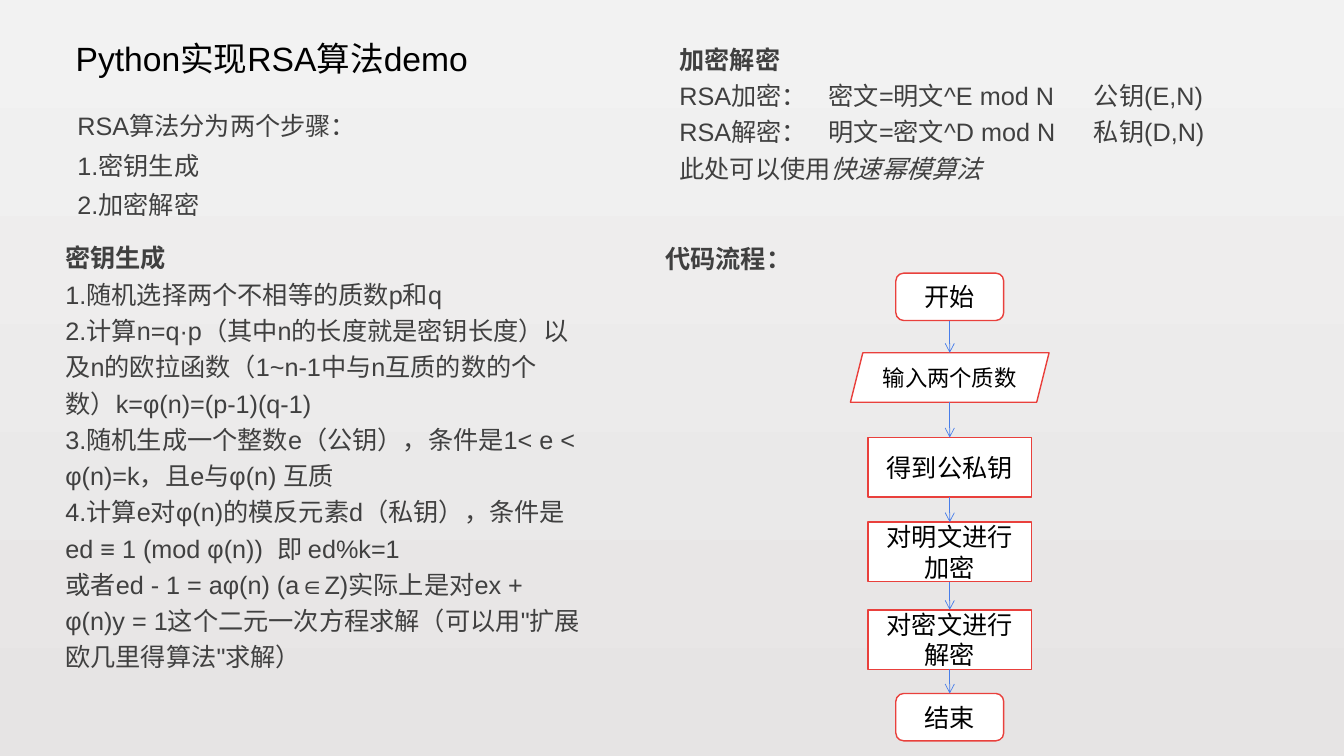
"""Builds a slide that explains an RSA demo with a flow chart."""
from lxml import etree
from pptx import Presentation
from pptx.dml.color import RGBColor
from pptx.enum.shapes import MSO_CONNECTOR, MSO_SHAPE
from pptx.enum.text import MSO_ANCHOR, PP_ALIGN
from pptx.oxml.ns import qn
from pptx.util import Inches, Pt

ROUNDED = MSO_SHAPE.FLOWCHART_ALTERNATE_PROCESS
SLANTED = MSO_SHAPE.PARALLELOGRAM
RECTANGLE = MSO_SHAPE.RECTANGLE
STRAIGHT = MSO_CONNECTOR.STRAIGHT
CENTER, LEFT = PP_ALIGN.CENTER, PP_ALIGN.LEFT
TOP, MIDDLE, BOTTOM = MSO_ANCHOR.TOP, MSO_ANCHOR.MIDDLE, MSO_ANCHOR.BOTTOM

COLORS = {
    "background_top": "F2F2F2",
    "background_bottom": "E6E4E4",
    "title": "000000",
    "body": "404040",
    "box": "FFFFFF",
    "outline": "E9403C",
    "arrow": "477DEA",
}
BODY = {"name": "Arial", "size": Pt(18), "bold": False}
HEADING = {**BODY, "bold": True}
ITALIC = {**BODY, "italic": True}

INTRO = ["RSA算法分为两个步骤：", "1.密钥生成", "2.加密解密"]
KEY_GENERATION = [
    "1.随机选择两个不相等的质数p和q",
    "2.计算n=q·p（其中n的长度就是密钥长度）以及n的欧拉函数（1~n-1中与n互质的数的个数）k=φ(n)=(p-1)(q-1)",
    "3.随机生成一个整数e（公钥），条件是1< e < φ(n)=k，且e与φ(n) 互质",
    "4.计算e对φ(n)的模反元素d（私钥），条件是ed ≡ 1 (mod φ(n))  即 ed%k=1",
    "或者ed - 1 = aφ(n) (a∈Z)实际上是对ex + φ(n)y = 1这个二元一次方程求解（可以用\"扩展欧几里得算法\"求解）",
]
FORMULAS = [
    "RSA加密：\t密文=明文^E mod N\t公钥(E,N)",
    "RSA解密：\t明文=密文^D mod N\t私钥(D,N)",
]
FORMULA_TABS = (1.48, 4.11)
FLOW_STEPS = [
    ("开始", ROUNDED, 0, 1.07, 0.47, 18),
    ("输入两个质数", SLANTED, 0.79, 1.97, 0.49, 16),
    ("得到公私钥", RECTANGLE, 1.63, 1.62, 0.59, 18),
    ("对明文进行加密", RECTANGLE, 2.47, 1.62, 0.59, 18),
    ("对密文进行解密", RECTANGLE, 3.34, 1.62, 0.59, 18),
    ("结束", ROUNDED, 4.17, 1.07, 0.47, 18),
]


def color(name):
    """Return the named colour."""
    return RGBColor.from_string(COLORS[name])


def add_run(paragraph, text, values, color_name):
    """Add a run and set its font from a dict of values."""
    run = paragraph.add_run()
    run.text = text
    for attribute, value in values.items():
        setattr(run.font, attribute, value)
    run.font.color.rgb = color(color_name)


def add_tabs(paragraph, positions):
    """Add left tab stops, in inches, to a paragraph."""
    tabs = etree.SubElement(paragraph._p.get_or_add_pPr(), qn("a:tabLst"))
    for position in positions:
        etree.SubElement(tabs, qn("a:tab"), pos=str(Inches(position)), algn="l")


def add_text(slide, box, lines, spacing, anchor=TOP, align=LEFT, color_name="body"):
    """Add a text box whose lines are lists of text and format pairs."""
    frame = slide.shapes.add_textbox(*map(Inches, box)).text_frame
    frame.word_wrap = True
    frame.vertical_anchor = anchor
    for index, runs in enumerate(lines):
        paragraph = frame.add_paragraph() if index else frame.paragraphs[0]
        paragraph.line_spacing = spacing
        paragraph.alignment = align
        for text, values in runs:
            add_run(paragraph, text, values, color_name)
    return frame


def add_title(slide, box):
    """Add the slide title."""
    line = [("Python实现RSA算法demo", {**BODY, "size": Pt(24)})]
    add_text(slide, box, [line], 1.3, BOTTOM, CENTER, "title")


def add_intro(slide, box):
    """Add the list of the two stages."""
    add_text(slide, box, [[(text, BODY)] for text in INTRO], 1.3)


def add_section(slide, box, heading, lines=()):
    """Add a bold heading with body lines under it."""
    return add_text(slide, box, [[(heading, HEADING)], *lines], 1.2)


def add_encryption(slide, box):
    """Add the encryption section with its formulas in columns."""
    lines = [[(text, BODY)] for text in FORMULAS]
    lines.append([("此处可以使用", BODY), ("快速幂模算法", ITALIC)])
    frame = add_section(slide, box, "加密解密", lines)
    for paragraph in frame.paragraphs[1:1 + len(FORMULAS)]:
        add_tabs(paragraph, FORMULA_TABS)


def add_arrow(slide, x, start, end):
    """Add a downward arrow between two heights."""
    arrow = slide.shapes.add_connector(STRAIGHT, *map(Inches, (x, start, x, end)))
    arrow.line.color.rgb = color("arrow")
    arrow.line.width = Pt(0.5)
    etree.SubElement(arrow.line._get_or_add_ln(), qn("a:tailEnd"), type="arrow")
    etree.SubElement(arrow._element.spPr, qn("a:effectLst"))


def add_step(slide, box, kind, text, size):
    """Add one outlined step of the flow chart."""
    shape = slide.shapes.add_shape(kind, *map(Inches, box))
    shape.shadow.inherit = False
    shape.fill.solid()
    shape.fill.fore_color.rgb = color("box")
    shape.line.color.rgb = color("outline")
    shape.line.width = Pt(1)
    frame = shape.text_frame
    frame.word_wrap = True
    frame.vertical_anchor = MIDDLE
    paragraph = frame.paragraphs[0]
    paragraph.alignment = CENTER
    add_run(paragraph, text, {**BODY, "size": Pt(size)}, "title")


def add_flow(slide, box):
    """Add the flow chart, centred in its box, with arrows between steps."""
    left, top, box_width, _ = box
    center = left + box_width / 2
    for text, kind, offset, width, height, size in FLOW_STEPS:
        step_box = (center - width / 2, top + offset, width, height)
        add_step(slide, step_box, kind, text, size)
    for step, following in zip(FLOW_STEPS, FLOW_STEPS[1:]):
        add_arrow(slide, center, top + step[2] + step[4], top + following[2])


def set_background(slide):
    """Fill the background with a vertical gradient."""
    fill = slide.background.fill
    fill.gradient()
    fill.gradient_angle = 270
    for stop, name in zip(fill.gradient_stops, ("background_top", "background_bottom")):
        stop.color.rgb = color(name)


def build():
    """Build and save the presentation."""
    presentation = Presentation()
    presentation.slide_width = Inches(13.33)
    presentation.slide_height = Inches(7.5)
    slide = presentation.slides.add_slide(presentation.slide_layouts[6])
    set_background(slide)
    add_title(slide, (0.02, 0.18, 5.35, 0.65))
    add_intro(slide, (0.67, 0.96, 5.65, 1.81))
    key_lines = [[(text, BODY)] for text in KEY_GENERATION]
    add_section(slide, (0.55, 2.3, 5.31, 4.66), "密钥生成", key_lines)
    add_encryption(slide, (6.64, 0.33, 6.02, 1.71))
    add_section(slide, (6.5, 2.3, 6.02, 1.71), "代码流程：")
    add_flow(slide, (8.43, 2.71, 1.98, 4.64))
    presentation.save("out.pptx")


build()
